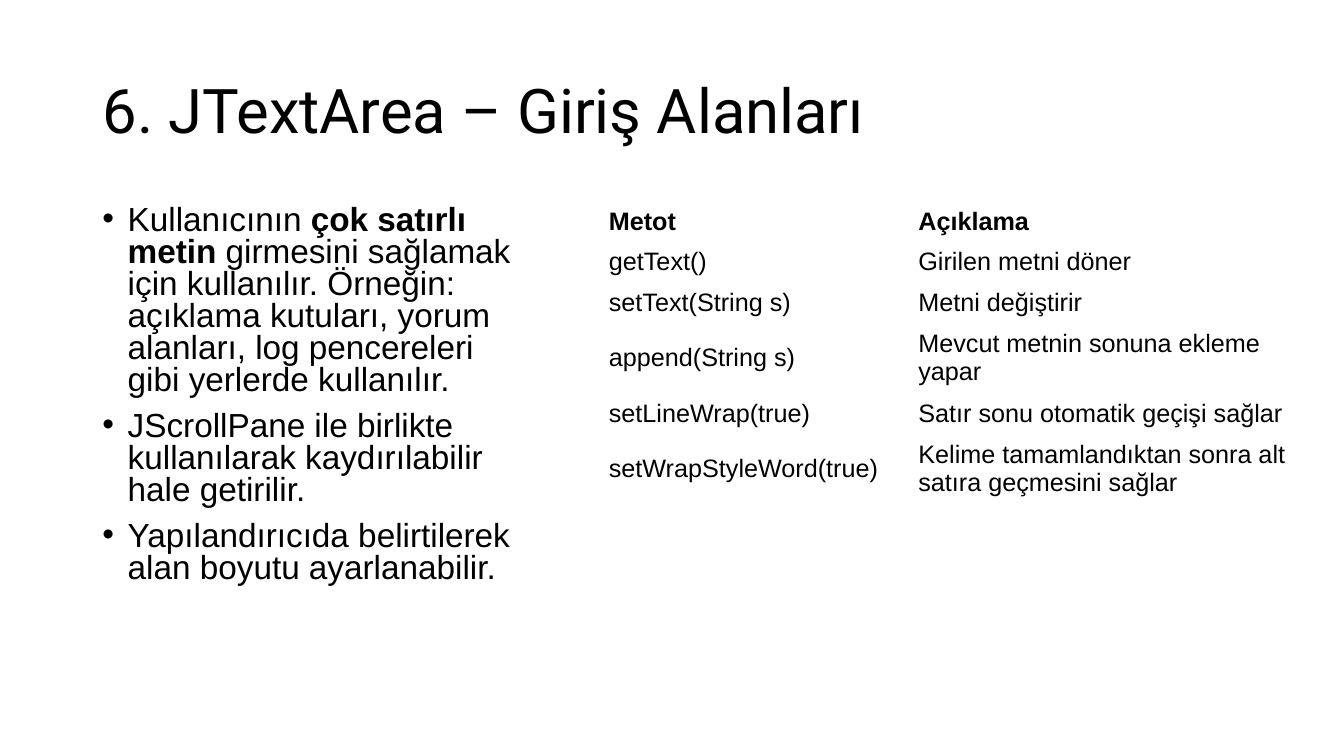
from dataclasses import dataclass

from lxml import etree
from pptx import Presentation
from pptx import util as u
from pptx.dml import color
from pptx.enum import text
from pptx.oxml import ns


@dataclass(frozen=True)
class Theme:
    ink: color.RGBColor = color.RGBColor(0, 0, 0)
    paper: color.RGBColor = color.RGBColor(255, 255, 255)
    title_font: str = "Roboto"
    body_font: str = "Arial"
    title_size: float = 44
    body_size: float = 23.8
    table_size: float = 18


theme = Theme()


def write(paragraph, content, size=theme.body_size, font=theme.body_font, bold=False):
    run = paragraph.add_run()
    run.text = content
    run.font.size = u.Pt(size)
    run.font.name = font
    run.font.bold = bold
    run.font.color.rgb = theme.ink
    paragraph.alignment = text.PP_ALIGN.LEFT


def add_bullet(paragraph):
    properties = paragraph._p.get_or_add_pPr()
    properties.set("marL", str(u.Cm(0.64)))
    properties.set("indent", str(u.Cm(-0.64)))
    bullet_color = etree.SubElement(properties, ns.qn("a:buClr"))
    etree.SubElement(bullet_color, ns.qn("a:srgbClr"), val=str(theme.ink))
    etree.SubElement(properties, ns.qn("a:buFont"), typeface=theme.body_font)
    etree.SubElement(properties, ns.qn("a:buChar"), char="•")


presentation = Presentation()
presentation.slide_width = u.Cm(33.87)
presentation.slide_height = u.Cm(19.05)
slide = presentation.slides.add_slide(presentation.slide_layouts[5])
slide.background.fill.solid()
slide.background.fill.fore_color.rgb = theme.paper

title = slide.shapes.title
title.left, title.top = u.Cm(2.33), u.Cm(1.01)
title.width, title.height = u.Cm(29.21), u.Cm(3.68)
title.text_frame.auto_size = text.MSO_AUTO_SIZE.NONE
title.text_frame.vertical_anchor = text.MSO_ANCHOR.MIDDLE
heading = title.text_frame.paragraphs[0]
heading.line_spacing = 0.9
write(heading, "6. JTextArea – Giriş Alanları", size=theme.title_size, font=theme.title_font)

bullets = [
    [
        ("Kullanıcının ", False),
        ("çok satırlı metin", True),
        (" girmesini sağlamak için kullanılır. Örneğin: açıklama kutuları, "
         "yorum alanları, log pencereleri gibi yerlerde kullanılır.", False),
    ],
    [("JScrollPane ile birlikte kullanılarak kaydırılabilir hale getirilir.", False)],
    [("Yapılandırıcıda belirtilerek alan boyutu ayarlanabilir.", False)],
]
body = slide.shapes.add_textbox(u.Cm(2.33), u.Cm(5.07), u.Cm(11.25), u.Cm(10.6))
body.text_frame.word_wrap = True
for index, pieces in enumerate(bullets):
    paragraph = body.text_frame.add_paragraph() if index else body.text_frame.paragraphs[0]
    paragraph.line_spacing = 0.8
    paragraph.space_before = u.Pt(10 if index else 0)
    add_bullet(paragraph)
    for content, bold in pieces:
        write(paragraph, content, bold=bold)

methods = [
    ("Metot", "Açıklama"),
    ("getText()", "Girilen metni döner"),
    ("setText(String s)", "Metni değiştirir"),
    ("append(String s)", "Mevcut metnin sonuna ekleme yapar"),
    ("setLineWrap(true)", "Satır sonu otomatik geçişi sağlar"),
    ("setWrapStyleWord(true)", "Kelime tamamlandıktan sonra alt satıra geçmesini sağlar"),
]
column_widths = [u.Cm(7.8), u.Cm(10.52)]
row_height = u.Cm(0.64)
table = slide.shapes.add_table(
    len(methods), len(column_widths), u.Cm(15.09), u.Cm(5.08),
    sum(column_widths), row_height * len(methods),
).table
table.horz_banding = False
for column, width in zip(table.columns, column_widths):
    column.width = width
for row_index, entries in enumerate(methods):
    table.rows[row_index].height = row_height
    for column_index, content in enumerate(entries):
        cell = table.cell(row_index, column_index)
        cell.fill.background()
        cell.vertical_anchor = text.MSO_ANCHOR.MIDDLE
        write(cell.text_frame.paragraphs[0], content, size=theme.table_size, bold=row_index == 0)

presentation.save("out.pptx")
